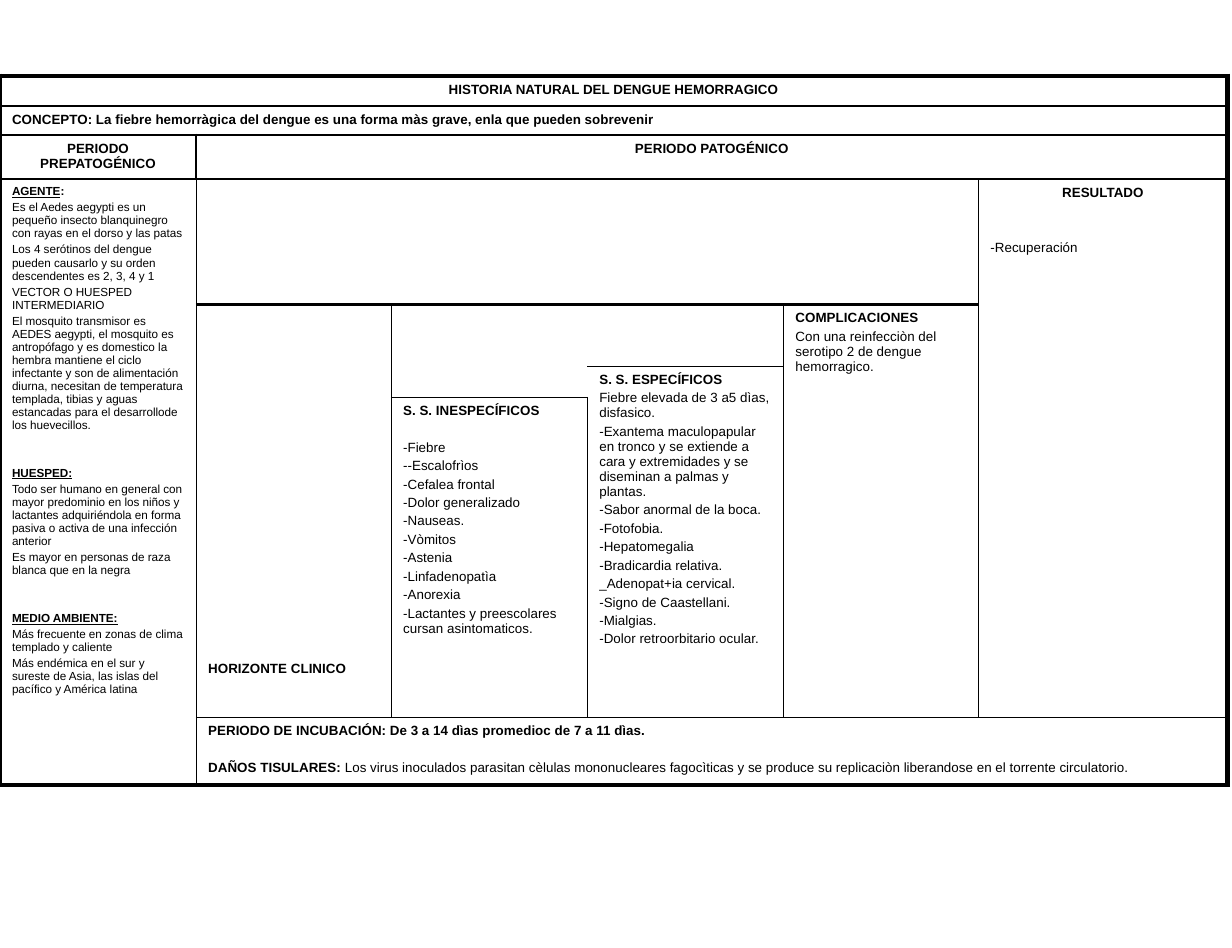
import pptx
import pptx.dml.color
import pptx.enum.text
import pptx.oxml.ns
import pptx.util
import lxml.etree

BLACK = pptx.dml.color.RGBColor(0, 0, 0)
ALIGN = pptx.enum.text.PP_ALIGN
ANCHOR = pptx.enum.text.MSO_ANCHOR
NO_STYLE = "{2D5ABB26-0587-4C30-8999-92F81FD0307C}"

# Slide in centimetres, grid in inches
SLIDE_WIDTH, SLIDE_HEIGHT = 26, 20
TABLE_TOP = 0.63
COLUMNS = (1.63, 1.62, 1.63, 1.63, 1.62, 2.07)
ROWS = (0.25, 0.24, 0.37, 1.04, 0.51, 0.26, 2.66, 0.56)

# Run styles, and paragraph formats
STYLES = {
    "plain": {"bold": False},
    "bold": {"bold": True},
    "heading": {"bold": True, "underline": True},
}
CENTERED = {"alignment": ALIGN.CENTER}
JUSTIFIED = {"alignment": ALIGN.JUSTIFY}
NORMAL = {}
SECTION = {"space_before": pptx.util.Pt(21)}
AFTER_GAP = {"space_before": pptx.util.Pt(13)}
AFTER_WIDE_GAP = {"space_before": pptx.util.Pt(24)}

# Cells: (row, column, rows spanned, columns spanned, text size, paragraphs)
# A paragraph is a plain string, or its format followed by styled runs
CELLS = [
    (0, 0, 1, 6, 8, [(CENTERED, ("HISTORIA NATURAL DEL DENGUE HEMORRAGICO", "bold"))]),
    (1, 0, 1, 6, 8, [(JUSTIFIED, (
        "CONCEPTO: La fiebre hemorràgica del dengue es una forma màs grave, "
        "enla que pueden sobrevenir ", "bold"))]),
    (2, 0, 1, 1, 8, [(CENTERED, ("PERIODO PREPATOGÉNICO", "bold"))]),
    (2, 1, 1, 5, 8, [(CENTERED, ("PERIODO PATOGÉNICO", "bold"))]),
    (3, 0, 5, 1, 7, [
        (NORMAL, ("AGENTE", "heading"), (":", "bold")),
        "Es el Aedes aegypti es un pequeño insecto blanquinegro con rayas en el dorso y las patas",
        "Los 4 serótinos del dengue pueden causarlo y su orden descendentes es 2, 3, 4 y 1",
        "VECTOR O HUESPED INTERMEDIARIO",
        "El mosquito transmisor es AEDES aegypti, el mosquito es antropófago y es domestico "
        "la hembra mantiene el ciclo infectante y son de alimentación diurna, necesitan de "
        "temperatura templada, tibias y aguas estancadas para el desarrollode los huevecillos.",
        (SECTION, ("HUESPED:", "heading")),
        "Todo ser humano en general con mayor predominio en los niños y lactantes "
        "adquiriéndola en forma pasiva o activa de una infección anterior",
        "Es mayor en personas de raza blanca que en la negra",
        (SECTION, ("MEDIO AMBIENTE:", "heading")),
        "Más frecuente en zonas de clima templado y caliente",
        "Más endémica en el sur y sureste de Asia, las islas del pacífico y América latina",
    ]),
    (3, 1, 1, 4, 8, []),
    (3, 5, 4, 1, 8, [
        (CENTERED, ("RESULTADO", "bold")),
        (AFTER_WIDE_GAP, ("-Recuperación", "plain")),
    ]),
    (4, 1, 3, 1, 8, [(NORMAL, ("HORIZONTE CLINICO", "bold"))]),
    (4, 2, 2, 1, 8, []),
    (4, 3, 1, 1, 8, []),
    (4, 4, 3, 1, 8, [
        (NORMAL, ("COMPLICACIONES", "bold")),
        "Con una reinfecciòn del serotipo 2 de dengue hemorragico.",
    ]),
    (5, 3, 2, 1, 8, [
        (NORMAL, ("S. S. ESPECÍFICOS", "bold")),
        "Fiebre elevada de 3 a5 dìas, disfasico.",
        "-Exantema maculopapular en tronco y se extiende a cara y extremidades "
        "y se diseminan a palmas y plantas.",
        "-Sabor anormal de la boca.",
        "-Fotofobia.",
        "-Hepatomegalia",
        "-Bradicardia relativa.",
        "_Adenopat+ia cervical.",
        "-Signo de Caastellani.",
        "-Mialgias.",
        "-Dolor retroorbitario ocular.",
    ]),
    (6, 2, 1, 1, 8, [
        (NORMAL, ("S. S. INESPECÍFICOS", "bold")),
        (AFTER_GAP, ("-Fiebre", "plain")),
        "--Escalofrìos",
        "-Cefalea frontal",
        "-Dolor generalizado",
        "-Nauseas.",
        "-Vòmitos",
        "-Astenia",
        "-Linfadenopatìa",
        "-Anorexia",
        "-Lactantes y preescolares cursan asintomaticos.",
    ]),
    (7, 1, 1, 5, 8, [
        (NORMAL, ("PERIODO DE INCUBACIÓN: De 3 a 14 dìas promedioc de 7 a 11 dìas.", "bold")),
        (AFTER_GAP, ("DAÑOS TISULARES: ", "bold"), (
            "Los virus inoculados parasitan cèlulas mononucleares fagocìticas y se produce "
            "su replicaciòn liberandose en el torrente circulatorio.", "plain")),
    ]),
]
HORIZON_CELL = (4, 1)

# Rules on the grid: (grid line, first cell, cell after the last, points)
THICK, MEDIUM, THIN = 3, 1.47, 0.45
HORIZONTAL_RULES = [
    (0, 0, 6, THICK), (1, 0, 6, MEDIUM), (2, 0, 6, MEDIUM), (3, 0, 6, MEDIUM),
    (5, 3, 4, THIN), (6, 2, 3, THIN), (7, 1, 6, THIN), (8, 0, 6, THICK),
]
VERTICAL_RULES = [
    (0, 0, 8, THICK), (1, 2, 3, MEDIUM), (1, 3, 8, THIN), (3, 6, 7, THIN),
    (4, 4, 7, THIN), (5, 3, 7, THIN), (6, 0, 8, THICK),
]


def border_widths():
    """Give each rule to the cells on both of its sides."""
    widths = {}
    for line, first, end, points in HORIZONTAL_RULES:
        for column in range(first, end):
            widths[line, column, "T"] = widths[line - 1, column, "B"] = points
    for line, first, end, points in VERTICAL_RULES:
        for row in range(first, end):
            widths[row, line, "L"] = widths[row, line - 1, "R"] = points
    return widths


def draw_borders(cell, sides):
    """Draw the sides that have a width, given in the order L, R, T, B."""
    cell.fill.background()
    properties = cell._tc.get_or_add_tcPr()
    ruled = [(side, points) for side, points in sides.items() if points]
    for position, (side, points) in enumerate(ruled):
        border = lxml.etree.Element(pptx.oxml.ns.qn(f"a:ln{side}"))
        border.set("w", str(int(pptx.util.Pt(points))))
        fill = lxml.etree.SubElement(border, pptx.oxml.ns.qn("a:solidFill"))
        lxml.etree.SubElement(fill, pptx.oxml.ns.qn("a:srgbClr"), val=str(BLACK))
        properties.insert(position, border)


def write_cell(cell, size, paragraphs):
    for index, content in enumerate(paragraphs):
        if isinstance(content, str):
            content = (NORMAL, (content, "plain"))
        layout, *runs = content
        frame = cell.text_frame
        paragraph = frame.add_paragraph() if index else frame.paragraphs[0]
        spacing = {"space_before": pptx.util.Pt(size / 4)} if index else {}
        for name, value in {**spacing, **layout}.items():
            setattr(paragraph, name, value)
        for text, style in runs:
            run = paragraph.add_run()
            run.text = text
            run.font.color.rgb = BLACK
            values = {"name": "Arial", "size": pptx.util.Pt(size), **STYLES[style]}
            for name, value in values.items():
                setattr(run.font, name, value)


def main():
    presentation = pptx.Presentation()
    presentation.slide_width = pptx.util.Cm(SLIDE_WIDTH)
    presentation.slide_height = pptx.util.Cm(SLIDE_HEIGHT)
    slide = presentation.slides.add_slide(presentation.slide_layouts[6])

    # Table grid, without a banded style
    table = slide.shapes.add_table(
        len(ROWS), len(COLUMNS), 0, pptx.util.Inches(TABLE_TOP),
        pptx.util.Inches(sum(COLUMNS)), pptx.util.Inches(sum(ROWS))).table
    table.first_row = table.horz_banding = False
    table._tbl.tblPr.find(pptx.oxml.ns.qn("a:tableStyleId")).text = NO_STYLE
    for column, width in zip(table.columns, COLUMNS):
        column.width = pptx.util.Inches(width)
    for row, height in zip(table.rows, ROWS):
        row.height = pptx.util.Inches(height)

    # Merged cells, their text and their outlines
    widths = border_widths()
    for top, left, height, width, size, paragraphs in CELLS:
        bottom, right = top + height - 1, left + width - 1
        if height * width > 1:
            table.cell(top, left).merge(table.cell(bottom, right))
        write_cell(table.cell(top, left), size, paragraphs)
        for row in range(top, bottom + 1):
            for column in range(left, right + 1):
                draw_borders(table.cell(row, column), {
                    "L": widths.get((row, left, "L")),
                    "R": widths.get((row, right, "R")),
                    "T": widths.get((top, column, "T")),
                    "B": widths.get((bottom, column, "B")),
                })

    # The clinical horizon label stands near the foot of its cell
    horizon = table.cell(*HORIZON_CELL)
    horizon.vertical_anchor = ANCHOR.BOTTOM
    horizon.margin_bottom = pptx.util.Inches(0.34)

    presentation.save("out.pptx")


if __name__ == "__main__":
    main()
